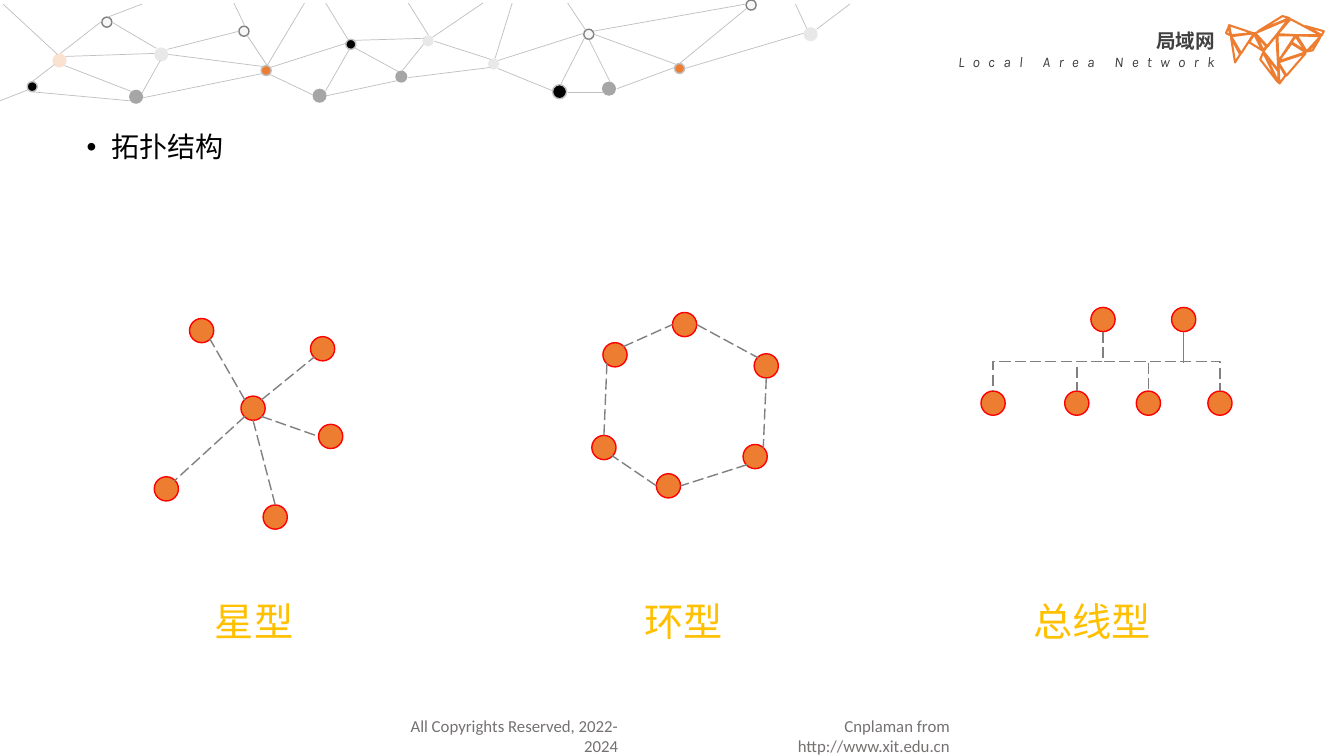
from pptx import Presentation
from pptx.dml.color import RGBColor
from pptx.enum.dml import MSO_LINE
from pptx.enum.shapes import MSO_CONNECTOR, MSO_SHAPE
from pptx.enum.text import PP_ALIGN
from pptx.oxml.ns import qn
from pptx.oxml.xmlchemy import OxmlElement
from pptx.util import Pt

PX = 9144
STRAIGHT, ELBOW = MSO_CONNECTOR.STRAIGHT, MSO_CONNECTOR.ELBOW
ELLIPSE, DASH = MSO_SHAPE.OVAL, MSO_LINE.LONG_DASH
LEFT, CENTER, RIGHT = PP_ALIGN.LEFT, PP_ALIGN.CENTER, PP_ALIGN.RIGHT
CJK = "Noto Sans CJK SC"
COLORS = {"orange": "ED7D31", "red": "FF0000", "gold": "FFC000", "black": "000000",
          "dark": "404040", "footer": "767171", "wire": "808080", "gray": "A6A6A6",
          "mesh": "BFBFBF", "peach": "F8CBAD", "pale": "F7F7F7"}
SITES = {"N": (0, -12), "NE": (8, -8), "E": (12, 0), "SE": (8, 8),
         "S": (0, 12), "SW": (-8, 8), "W": (-12, 0), "NW": (-8, -8)}

MESH_STYLES = {
    "orange": ("orange", "mesh", 100), "black": ("black", "mesh", 100),
    "gray": ("gray", None, 100), "peach": ("peach", None, 57),
    "faint": ("gray", None, 25), "hollow": ("pale", "wire", 100)}
MESH_NODES = [
    ("orange", 669, 63, 10), ("gray", 597, 81, 14), ("gray", 392, 70, 12),
    ("gray", 310, 88, 14), ("black", 343, 39, 10), ("orange", 259, 65, 10),
    ("gray", 128, 89, 14), ("black", 27, 81, 10), ("peach", 52, 53, 14),
    ("faint", 153, 47, 14), ("black", 548, 84, 14), ("hollow", 740, 0, 10),
    ("hollow", 579, 29, 10), ("hollow", 237, 26, 10), ("hollow", 101, 17, 10),
    ("faint", 419, 35, 11), ("faint", 484, 58, 11), ("faint", 797, 27, 14)]
MESH_LINES = [
    (679, 68, 797, 33), (669, 67, 612, 88), (741, 8, 674, 63), (64, 65, 131, 91),
    (129, 100, 31, 91), (159, 60, 141, 92), (584, 39, 605, 81), (431, 41, 487, 59),
    (268, 67, 343, 43), (142, 97, 260, 73), (589, 34, 671, 64), (580, 37, 556, 84),
    (394, 80, 324, 95), (347, 48, 323, 90), (268, 74, 310, 94), (167, 54, 261, 66),
    (237, 31, 166, 49), (579, 33, 494, 60), (740, 4, 588, 31), (494, 68, 548, 90),
    (245, 35, 265, 65), (323, 3, 345, 39), (3, 4, 57, 54), (405, 77, 486, 67),
    (399, 70, 420, 44), (395, 71, 351, 47), (421, 38, 352, 40), (429, 37, 479, 3),
    (405, 3, 425, 35), (65, 56, 153, 53), (60, 53, 101, 21), (155, 48, 111, 22),
    (265, 65, 302, 3), (243, 26, 232, 3), (32, 81, 54, 64), (28, 89, 0, 100),
    (508, 3, 491, 58), (599, 92, 563, 92), (789, 4, 800, 28), (581, 30, 563, 3),
    (107, 17, 141, 4), (810, 29, 843, 4)]
FACETS = [
    [(50, 20), (41, 31), (29, 18), (62, 4)], [(40, 31), (37, 35), (30, 20)],
    [(52, 67), (39, 39), (52, 56)], [(37, 36), (50, 20), (52, 55)],
    [(65, 28), (79, 37), (52, 46)], [(65, 27), (69, 21), (79, 36)],
    [(52, 46), (51, 20), (69, 20)], [(79, 38), (60, 60), (52, 47)],
    [(70, 20), (94, 21), (80, 36)], [(97, 16), (95, 20), (79, 11)],
    [(94, 20), (70, 20), (51, 19), (64, 4)], [(56, 1), (63, 3), (32, 16)],
    [(27, 18), (5, 20), (3, 10)], [(28, 18), (15, 38), (5, 21)],
    [(3, 11), (4, 20), (0, 18)], [(5, 22), (14, 39), (9, 47)],
    [(28, 19), (36, 35), (23, 27)], [(34, 44), (37, 37), (51, 66)],
    [(52, 48), (59, 60), (53, 68)], [(86, 35), (81, 36), (93, 23)]]

STAR_NODES = [(99, 105), (168, 46), (48, 28), (13, 185), (121, 213), (176, 133)]
STAR_LINKS = [(0, "NE", 1, "SW"), (0, "NW", 2, "SE"), (0, "SW", 3, "NE"),
              (0, "S", 4, "N"), (0, "SE", 5, "W")]
RING_NODES = [(101, 22), (182, 63), (171, 153), (85, 182), (21, 144), (32, 52)]
RING_LINKS = [(0, "E", 1, "NW"), (1, "S", 2, "NE"), (2, "SW", 3, "E"),
              (3, "W", 4, "SE"), (4, "N", 5, "SW"), (5, "NE", 0, "W")]
BUS_NODES = [(126, 17), (17, 100), (100, 100), (171, 100), (242, 100), (206, 17)]


def color(name):
    """Return the named colour."""
    return RGBColor.from_string(COLORS[name])


def add_text(page, box, lines, align=LEFT, inset=(10, 5), bullet=False):
    """Write lines of (text, format) into a text box."""
    shape = page.shapes.add_textbox(*(n * PX for n in box))
    frame = shape.text_frame
    frame.word_wrap = True
    frame.margin_left = frame.margin_right = inset[0] * PX
    frame.margin_top = frame.margin_bottom = inset[1] * PX
    for index, (text, style) in enumerate(lines):
        para = frame.add_paragraph() if index else frame.paragraphs[0]
        para.alignment = align
        if bullet:
            para.line_spacing = 0.9
            props = para._p.get_or_add_pPr()
            props.set("marL", str(25 * PX))
            props.set("indent", str(-25 * PX))
            for tag, key, value in (("a:buFont", "typeface", "Arial"), ("a:buChar", "char", "•")):
                mark = OxmlElement(tag)
                mark.set(key, value)
                props.append(mark)
        add_span(para, text, **style)


def add_span(para, text, size, tint, font=CJK, bold=False, italic=False, spacing=0):
    """Add one formatted span to a paragraph."""
    span = para.add_run()
    span.text = text
    span.font.size, span.font.name = Pt(size), font
    span.font.bold, span.font.italic = bold, italic
    span.font.color.rgb = color(tint)
    props = span._r.get_or_add_rPr()
    if spacing:
        props.set("spc", str(spacing * 100))
    east = OxmlElement("a:ea")
    east.set("typeface", CJK)
    props.find(qn("a:latin")).addnext(east)


def add_dot(page, x, y, size, fill, line=None, opacity=100):
    """Draw a circle from its top left corner."""
    dot = page.shapes.add_shape(ELLIPSE, x * PX, y * PX, size * PX, size * PX)
    dot.shadow.inherit = False
    dot.fill.solid()
    dot.fill.fore_color.rgb = color(fill)
    if opacity < 100:
        alpha = OxmlElement("a:alpha")
        alpha.set("val", str(opacity * 1000))
        dot._element.spPr.find(qn("a:solidFill"))[0].append(alpha)
    if line:
        dot.line.color.rgb = color(line)
        dot.line.width = Pt(1)
    else:
        dot.line.fill.background()


def add_wire(page, ends, tint="wire", width=1, dash=DASH, kind=STRAIGHT):
    """Draw a connector between two points."""
    wire = page.shapes.add_connector(kind, *(round(n * PX) for n in ends))
    wire.line.color.rgb = color(tint)
    wire.line.width = Pt(width)
    if dash:
        wire.line.dash_style = dash
    wire._element.spPr.append(OxmlElement("a:effectLst"))
    return wire


def add_drop(page, x1, y1, x2, y2):
    """Draw an elbow that leaves and arrives vertically."""
    mid_x, mid_y = (x1 + x2) / 2, (y1 + y2) / 2
    half_w, half_h = (x2 - x1) / 2, (y2 - y1) / 2
    ends = (mid_x - half_h, mid_y + half_w, mid_x + half_h, mid_y - half_w)
    drop = add_wire(page, ends, kind=ELBOW)
    drop._element.spPr.find(qn("a:xfrm")).set("rot", "5400000")


def add_mesh(page, left, top):
    """Draw the decorative network along the top edge."""
    for style, x, y, size in MESH_NODES:
        add_dot(page, left + x, top + y, size, *MESH_STYLES[style])
    for x1, y1, x2, y2 in MESH_LINES:
        add_wire(page, (left + x1, top + y1, left + x2, top + y2), "mesh", 0.5, None)


def add_header(page, left, top):
    """Place the course title and its faceted ornament."""
    add_text(page, (left, top + 9, 297, 51), [
        ("局域网", dict(size=14, tint="dark", bold=True)),
        ("Local Area Network", dict(size=10.5, tint="dark", font="Karla", italic=True, spacing=6)),
    ], RIGHT)
    builder = page.shapes.build_freeform(*FACETS[0][0], scale=PX)
    for facet in FACETS:
        builder.move_to(*facet[0])
        builder.add_line_segments(facet[1:], close=True)
    ornament = builder.convert_to_shape((left + 298) * PX, top * PX)
    ornament.shadow.inherit = False
    ornament.fill.background()
    ornament.line.color.rgb = color("orange")
    ornament.line.width = Pt(1.5)


def add_topology(page, box, label, nodes, links=(), drops=()):
    """Draw the nodes, links and label of one topology in its box."""
    left, top, width, height = box

    def site(node, side):
        """Locate a connection point on a node."""
        return left + nodes[node][0] + SITES[side][0], top + nodes[node][1] + SITES[side][1]

    for x, y in nodes:
        add_dot(page, left + x - 12, top + y - 12, 24, "orange", "red")
    for start, start_side, end, end_side in links:
        add_wire(page, site(start, start_side) + site(end, end_side))
    for start, end in drops:
        add_drop(page, *site(start, "S"), *site(end, "N"))
    add_text(page, (left, top + height - 47, width, 47),
             [(label, dict(size=28, tint="gold"))], CENTER, (0, 0))


def add_bus(page, box):
    """Draw the bus topology with its extra tap."""
    add_topology(page, box, "总线型", BUS_NODES, drops=[(0, node) for node in (3, 2, 1, 4)])
    x, y = box[0] + BUS_NODES[5][0], box[1] + BUS_NODES[5][1] + 12
    add_wire(page, (x, y, x, y + 31), dash=None)


def main():
    """Build and save the slide."""
    deck = Presentation()
    deck.slide_width, deck.slide_height = 1333 * PX, 750 * PX
    page = deck.slides.add_slide(deck.slide_layouts[6])
    footer = dict(size=12, tint="footer", font="Calibri")
    add_text(page, (694, 705, 258, 30), [("Cnplaman from http://www.xit.edu.cn", footer)], RIGHT)
    add_text(page, (381, 705, 242, 30), [("All Copyrights Reserved, 2022-2024", footer)], RIGHT)
    add_header(page, 918, 15)
    add_mesh(page, 0, 0)
    add_text(page, (76, 127, 1181, 559),
             [("拓扑结构", dict(size=20, tint="black", font="Calibri"))], bullet=True)
    add_topology(page, (152, 300, 200, 340), "星型", STAR_NODES, STAR_LINKS)
    add_topology(page, (578, 300, 200, 340), "环型", RING_NODES, RING_LINKS)
    add_bus(page, (968, 300, 230, 340))
    deck.save("out.pptx")


if __name__ == "__main__":
    main()
